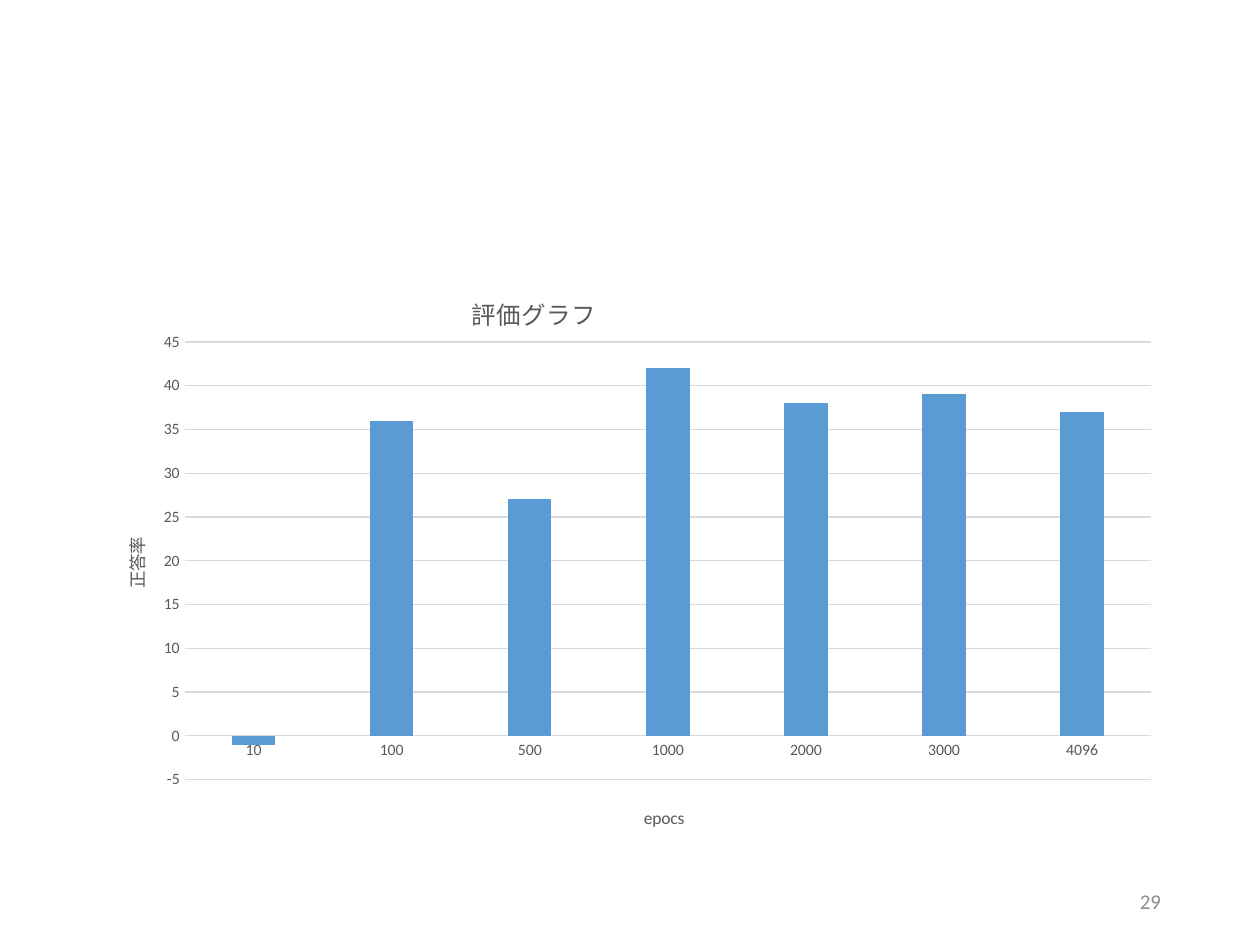
from lxml import etree
from pptx import Presentation
from pptx.chart.data import CategoryChartData
from pptx.dml.color import RGBColor
from pptx.enum import chart as ch, text
from pptx.oxml import ns
from pptx.util import Pt

FONT = "Calibri"
GREY, GRID, BLUE = "595959", "D9D9D9", "5B9BD5"


def color(value):
    return RGBColor.from_string(value)


def style_font(font, size, value):
    font.name, font.size, font.bold = FONT, Pt(size), False
    font.color.rgb = color(value)


def style_line(line, value):
    line.color.rgb = color(value)
    line.width = Pt(0.75)


def place(element, **fractions):
    for old in element.findall(ns.qn("c:layout")):
        element.remove(old)
    layout = etree.Element(ns.qn("c:layout"))
    manual = etree.SubElement(layout, ns.qn("c:manualLayout"))
    settings = {"xMode": "edge", "yMode": "edge", **fractions}
    if "w" in fractions:
        settings = {"layoutTarget": "inner", **settings}
    for tag, value in settings.items():
        etree.SubElement(manual, ns.qn(f"c:{tag}")).set("val", str(value))
    tx = element.find(ns.qn("c:tx"))
    if tx is None:
        element.insert(0, layout)
    else:
        tx.addnext(layout)


def set_title(owner, title, label, size, x, y):
    owner.has_title = True
    p = title().text_frame.paragraphs[0]
    p.text = label
    style_font(p.font, size, GREY)
    place(title()._element, x=x, y=y)


def style_axis(axis, label, x, y):
    set_title(axis, lambda: axis.axis_title, label, 10, x, y)
    axis.major_tick_mark = axis.minor_tick_mark = ch.XL_TICK_MARK.NONE
    style_font(axis.tick_labels.font, 9, GREY)


def add_accuracy_chart(s):
    data = CategoryChartData()
    data.categories = ["10", "100", "500", "1000", "2000", "3000", "4096"]
    data.add_series("Series 1", [-1, 36, 27, 42, 38, 39, 37])
    chart = s.shapes.add_chart(ch.XL_CHART_TYPE.COLUMN_CLUSTERED, Pt(49.7), Pt(144),
                               Pt(620.6), Pt(342.7), data).chart
    style_font(chart.font, 10, "000000")
    chart.has_legend = False
    set_title(chart, lambda: chart.chart_title, "評価グラフ", 14, 0.35, 0.06)
    chart.chart_title.include_in_layout = False

    plot = chart.plots[0]
    plot.gap_width, plot.overlap = 219, -27
    plot.vary_by_categories = False
    series = plot.series[0]
    series.invert_if_negative = False
    series.format.fill.solid()
    series.format.fill.fore_color.rgb = color(BLUE)
    plot_area = chart._chartSpace.chart.plotArea
    place(plot_area, x=0.09, y=0.15, w=0.89, h=0.73)

    style_axis(chart.category_axis, "epocs", 0.51, 0.92)
    style_line(chart.category_axis.format.line, GRID)
    values = chart.value_axis
    style_axis(values, "正答率", 0.03, 0.47)
    values.minimum_scale, values.maximum_scale, values.major_unit = -5, 45, 5
    values.format.line.fill.background()
    values.has_major_gridlines = True
    style_line(values.major_gridlines.format.line, GRID)


def add_page_number(s, number):
    tf = s.shapes.add_textbox(Pt(508.5), Pt(500.5), Pt(162), Pt(28.75)).text_frame
    tf.word_wrap = True
    tf.vertical_anchor = text.MSO_ANCHOR.MIDDLE
    p = tf.paragraphs[0]
    p.text = number
    p.alignment = text.PP_ALIGN.RIGHT
    style_font(p.font, 12, "8C8C8C")


def main():
    prs = Presentation()
    prs.slide_width, prs.slide_height = Pt(720), Pt(540)
    s = prs.slides.add_slide(prs.slide_layouts[6])
    add_page_number(s, "29")
    add_accuracy_chart(s)
    prs.save("out.pptx")


if __name__ == "__main__":
    main()
